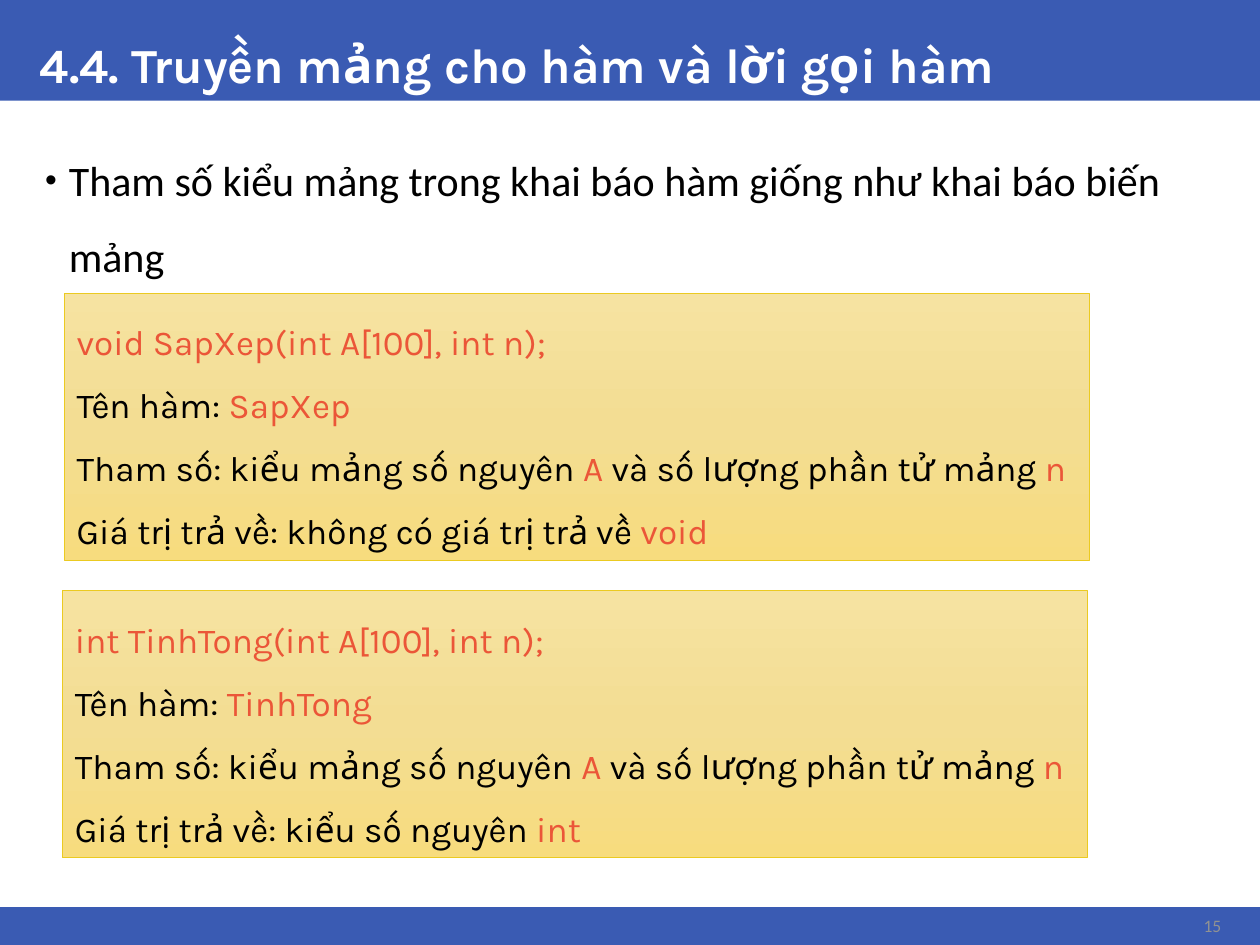
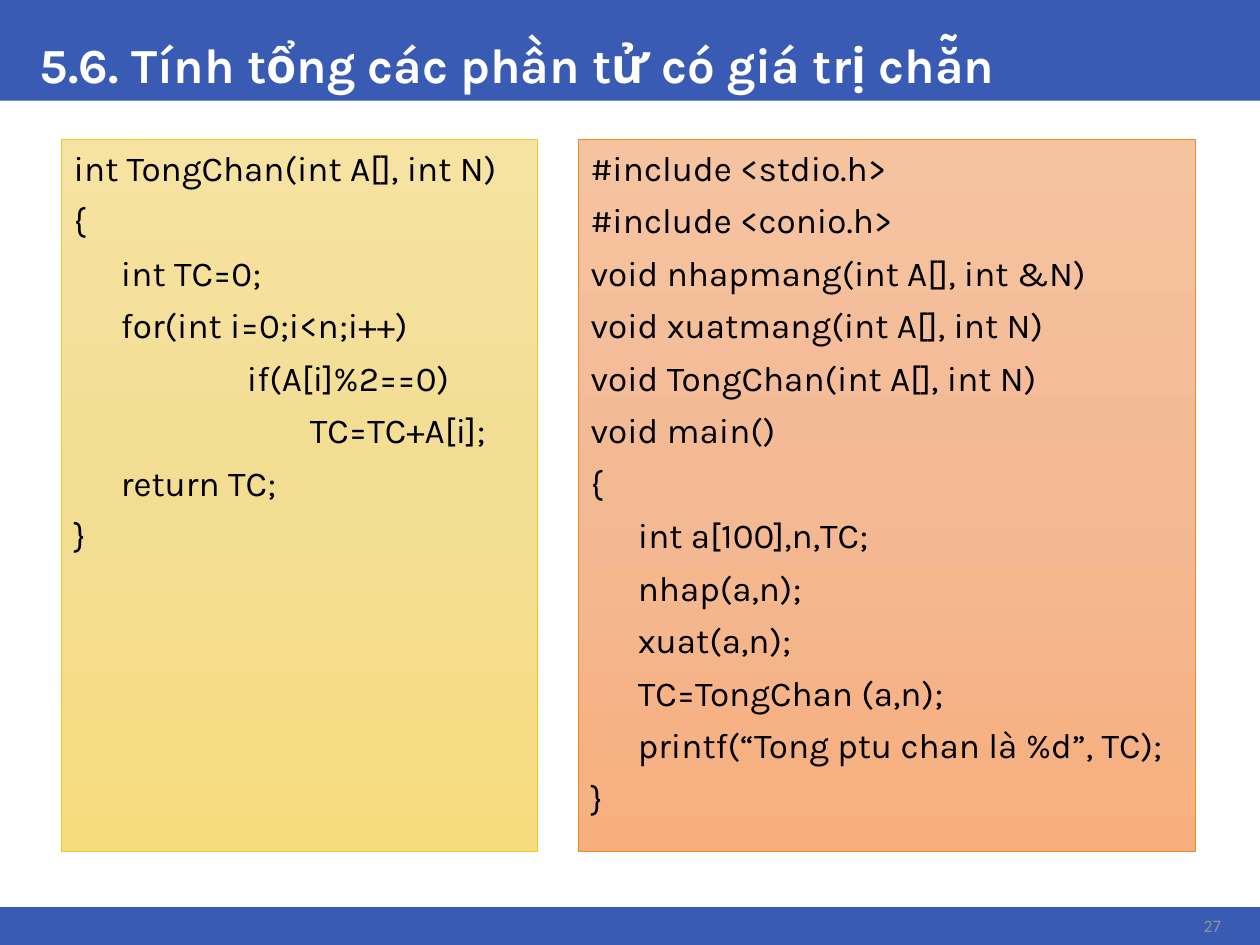
from copy import deepcopy

from lxml.etree import SubElement
from pptx import Presentation
from pptx.dml.color import RGBColor
from pptx.enum.shapes import MSO_SHAPE
from pptx.enum.text import MSO_ANCHOR, PP_ALIGN
from pptx.oxml.ns import qn
from pptx.util import Pt

COLORS = {
    "band": "3A5BB3",
    "title": "FFFFFF",
    "number": "919292",
    "text": "000000",
    "code": "EB5638",
}
PANELS = {
    "yellow": {"stops": ["F6E3A1", "F3DD93", "F7DC7E"], "line": "EBCA21"},
    "orange": {"stops": ["F6C3A1", "F3B993", "F7AF7E"], "line": "EB8D21"},
}
FONTS = {
    "title": {"name": "Karla", "size": Pt(28), "bold": True},
    "number": {"name": "Calibri", "size": Pt(10)},
    "body": {"name": "Calibri", "size": Pt(24)},
    "panel": {"name": "Karla", "size": Pt(20)},
}
LAYOUTS = {
    "title": {"line_spacing": 0.9, "alignment": PP_ALIGN.LEFT},
    "number": {"alignment": PP_ALIGN.RIGHT},
    "open": {"line_spacing": 1.5, "alignment": PP_ALIGN.LEFT},
    "code": {"space_before": Pt(6), "alignment": PP_ALIGN.LEFT},
}
BANDS = [(0, 57.6), (518.4, 21.6)]
TITLES = [
    ("4.4. Truyền mảng cho hàm và lời gọi hàm", "15"),
    ("5.6. Tính tổng các phần tử có giá trị chẵn", "27"),
]
FUNCTIONS = [
    (36.7, 167.6, "void SapXep(int A[100], int n);", "SapXep",
     "Giá trị trả về: không có giá trị trả về ", "void"),
    (35.7, 337.6, "int TinhTong(int A[100], int n);", "TinhTong",
     "Giá trị trả về: kiểu số nguyên ", "int"),
]
LISTINGS = [
    ("yellow", 35, 272.2, [
        (0, "int TongChan(int A[], int N)"),
        (0, "{"),
        (1, "int TC=0;"),
        (1, "for(int i=0;i<n;i++)"),
        (3, "if(A[i]%2==0)"),
        (4, "TC=TC+A[i];"),
        (1, "return TC;"),
        (0, "}"),
    ]),
    ("orange", 330.4, 352.8, [
        (0, "#include <stdio.h>"),
        (0, "#include <conio.h>"),
        (0, "void nhapmang(int A[], int &N)"),
        (0, "void xuatmang(int A[], int N)"),
        (0, "void TongChan(int A[], int N)"),
        (0, "void main()"),
        (0, "{"),
        (1, "int a[100],n,TC;"),
        (1, "nhap(a,n);"),
        (1, "xuat(a,n);"),
        (1, "TC=TongChan (a,n);"),
        (1, "printf(“Tong ptu chan là %d”, TC);"),
        (0, "}"),
    ]),
]
FIRST_INDENT = 27
TAB_WIDTH = 36


def write_text(shape, paragraphs, font, layout, anchor=MSO_ANCHOR.TOP):
    frame = shape.text_frame
    frame.word_wrap = True
    frame.vertical_anchor = anchor
    for index, runs in enumerate(paragraphs):
        paragraph = frame.add_paragraph() if index else frame.paragraphs[0]
        for name, value in LAYOUTS[layout].items():
            if index or name != "space_before":
                setattr(paragraph, name, value)
        for text, color in runs:
            run = paragraph.add_run()
            run.text = text
            for name, value in FONTS[font].items():
                setattr(run.font, name, value)
            run.font.color.rgb = RGBColor.from_string(COLORS[color])
    return frame.paragraphs


def add_panel(slide, style, left, top, width, height):
    shape = slide.shapes.add_shape(
        MSO_SHAPE.RECTANGLE, Pt(left), Pt(top), Pt(width), Pt(height))
    shape.shadow.inherit = False
    shape.fill.gradient()
    shape.fill.gradient_angle = 270
    stop_list = shape._element.spPr.find(".//" + qn("a:gsLst"))
    stop_list.insert(1, deepcopy(stop_list[0]))
    for index, stop in enumerate(shape.fill.gradient_stops):
        stop.position = index / 2
        stop.color.rgb = RGBColor.from_string(PANELS[style]["stops"][index])
    shape.line.color.rgb = RGBColor.from_string(PANELS[style]["line"])
    shape.line.width = Pt(0.5)
    return shape


presentation = Presentation()
presentation.slide_width = Pt(720)
presentation.slide_height = Pt(540)

slides = []
for title, number in TITLES:
    slide = presentation.slides.add_slide(presentation.slide_layouts[6])
    for top, height in BANDS:
        band = slide.shapes.add_shape(
            MSO_SHAPE.RECTANGLE, 0, Pt(top), Pt(720), Pt(height))
        band.shadow.inherit = False
        band.fill.solid()
        band.fill.fore_color.rgb = RGBColor.from_string(COLORS["band"])
        band.line.fill.background()
    title_box = slide.shapes.add_textbox(Pt(15.8), 0, Pt(689), Pt(57.6))
    write_text(title_box, [[(title, "title")]], "title", "title", MSO_ANCHOR.BOTTOM)
    number_box = slide.shapes.add_textbox(Pt(666.7), Pt(519.8), Pt(38.2), Pt(18.7))
    write_text(number_box, [[(number, "number")]], "number", "number", MSO_ANCHOR.MIDDLE)
    slides.append(slide)

function_slide, listing_slide = slides

body = function_slide.shapes.add_textbox(Pt(15.8), Pt(70.6), Pt(689), Pt(435.6))
sentence = "Tham số kiểu mảng trong khai báo hàm giống như khai báo biến mảng"
bullet_paragraph = write_text(body, [[(sentence, "text")]], "body", "open")[0]
properties = bullet_paragraph._p.get_or_add_pPr()
properties.set("marL", str(Pt(16.5)))
properties.set("indent", str(Pt(-13.5)))
SubElement(properties, qn("a:buSzPct")).set("val", "80000")
SubElement(properties, qn("a:buFont")).set("typeface", "Arial")
SubElement(properties, qn("a:buChar")).set("char", "•")

for left, top, declaration, name, result, result_type in FUNCTIONS:
    panel = add_panel(function_slide, "yellow", left, top, 585.6, 152.6)
    write_text(panel, [
        [(declaration, "code")],
        [("Tên hàm: ", "text"), (name, "code")],
        [("Tham số: kiểu mảng số nguyên ", "text"), ("A ", "code"),
         ("và số lượng phần tử mảng", "text"), (" n", "code")],
        [(result, "text"), (result_type, "code")],
    ], "panel", "open")

for style, left, width, lines in LISTINGS:
    panel = add_panel(listing_slide, style, left, 79.9, width, 406.8)
    paragraphs = write_text(
        panel, [[(text, "text")] for depth, text in lines], "panel", "code")
    for paragraph, (depth, text) in zip(paragraphs, lines):
        if depth:
            indent = FIRST_INDENT + TAB_WIDTH * (depth - 1)
            paragraph._p.get_or_add_pPr().set("marL", str(Pt(indent)))

presentation.save("out.pptx")
